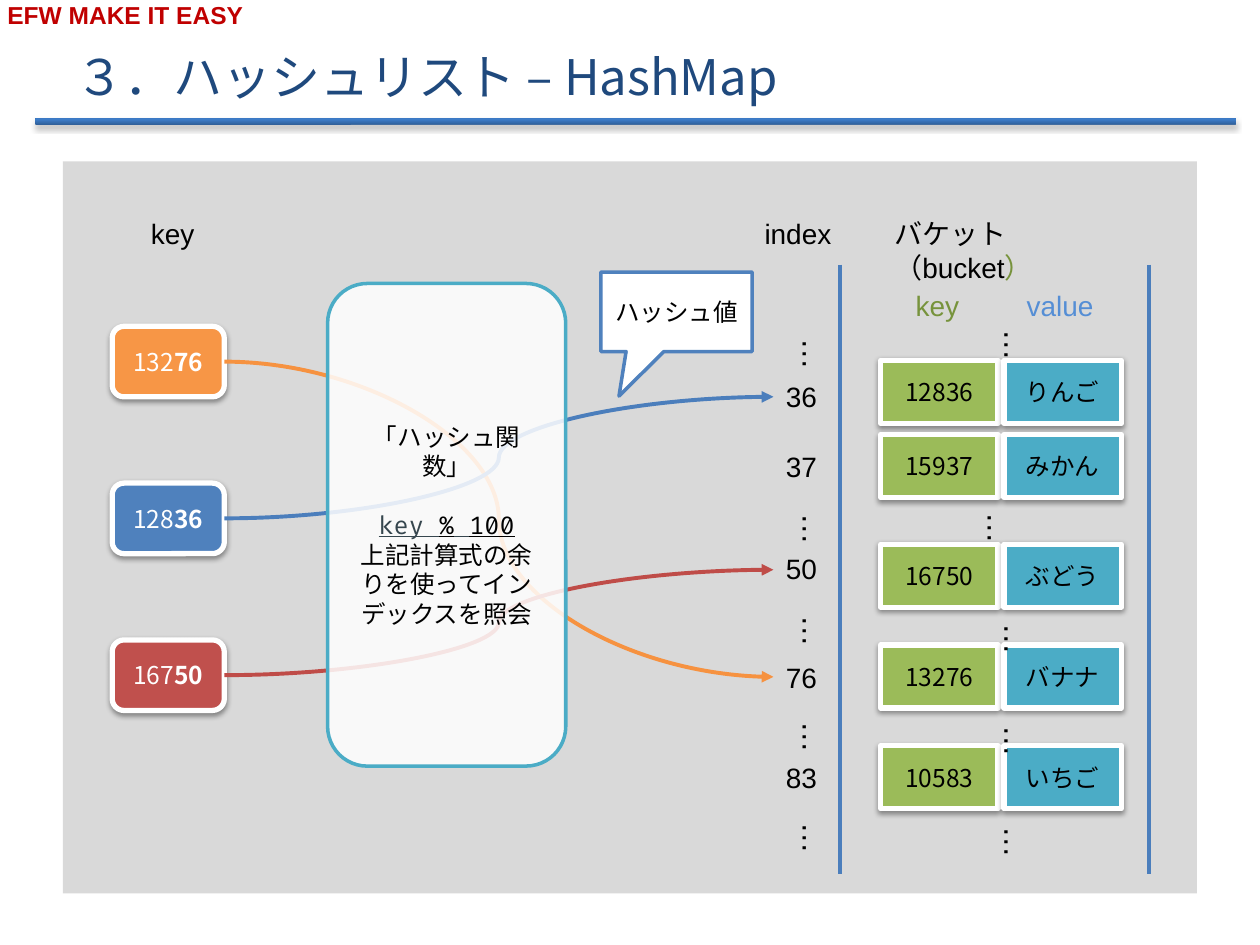
from dataclasses import dataclass

from lxml.etree import SubElement
from pptx import Presentation
from pptx.dml.color import RGBColor
from pptx.enum.shapes import MSO_CONNECTOR, MSO_SHAPE
from pptx.enum.text import MSO_ANCHOR, PP_ALIGN
from pptx.oxml.ns import qn
from pptx.util import Pt

SANS, CJK, MONO = "Arial", "Noto Sans CJK JP", "Fira Code"
BLACK, WHITE, GREEN, TEAL = "000000", "FFFFFF", "9BBB59", "4BACC6"
BLUE_LINE = "4B7EBC"
INDEX_X, BUCKET_X = 442, 557.3


@dataclass
class Box:
    x: float
    y: float
    w: float
    h: float

    def emu(self) -> list:
        return [Pt(v) for v in (self.x, self.y, self.w, self.h)]


@dataclass
class Entry:
    y: float
    key: str
    value: str
    index: str
    index_y: float


@dataclass
class Key:
    prefix: str
    suffix: str
    fill: str
    line: str
    target_y: float


ENTRIES = [
    Entry(205.9, "12836", "りんご", "36", 213.1),
    Entry(248.4, "15937", "みかん", "37", 253.4),
    Entry(311, "16750", "ぶどう", "50", 311.8),
    Entry(368.6, "13276", "バナナ", "76", 373.7),
    Entry(426.2, "10583", "いちご", "83", 431.3),
]
KEYS = [
    Key("132", "76", "F79646", "F69240", 386.8),
    Key("128", "36", "4F81BD", BLUE_LINE, 226.8),
    Key("167", "50", "C0504D", "BF4C48", 325.6),
]
INDEX_DOTS = [186.5, 286.6, 344.9, 405.4, 463]
BUCKET_DOTS = [181.4, 349.2, 407.5, 465.1]


def color(value: str) -> RGBColor:
    return RGBColor.from_string(value)


def style(r, size: float, font: str, c: str, bold=False, underline=False) -> None:
    f = r.font
    f.size, f.name, f.bold, f.underline = Pt(size), font, bold, underline
    f.color.rgb = color(c)
    latin = r._r.rPr.find(qn("a:latin"))
    ea = latin.makeelement(qn("a:ea"), {"typeface": CJK})
    latin.addnext(ea)


def add_run(p, text: str, *args, **kwargs) -> None:
    r = p.add_run()
    r.text = text
    style(r, *args, **kwargs)


def add_shadow(s, alpha: int, blur: float, dist: float) -> None:
    effects = s._element.spPr.find(qn("a:effectLst"))
    shadow = SubElement(effects, qn("a:outerShdw"), blurRad=str(Pt(blur)),
                        dist=str(Pt(dist)), dir="5400000", rotWithShape="0")
    clr = SubElement(shadow, qn("a:srgbClr"), val=BLACK)
    SubElement(clr, qn("a:alpha"), val=str(alpha * 1000))


def add_shape(slide, kind, box: Box, fill: str, line="", width=2.0, shadow=False):
    s = slide.shapes.add_shape(kind, *box.emu())
    s.shadow.inherit = False
    s.fill.solid()
    s.fill.fore_color.rgb = color(fill)
    if line:
        s.line.color.rgb = color(line)
        s.line.width = Pt(width)
    else:
        s.line.fill.background()
    if shadow:
        add_shadow(s, 38, 3.1, 1.6)
    tf = s.text_frame
    tf.word_wrap = True
    tf.vertical_anchor = MSO_ANCHOR.MIDDLE
    tf.paragraphs[0].alignment = PP_ALIGN.CENTER
    return s


def add_label(slide, box: Box, text: str, size=16.0, c=BLACK, bold=False):
    tb = slide.shapes.add_textbox(*box.emu())
    tf = tb.text_frame
    tf.word_wrap = True
    add_run(tf.paragraphs[0], text, size, SANS, c, bold=bold)
    return tb


def add_dots(slide, x: float, y: float, h=20.2):
    tb = add_label(slide, Box(x, y, 38.2, h), "…", 18)
    tf = tb.text_frame
    tf.paragraphs[0].alignment = PP_ALIGN.CENTER
    tf._txBody.bodyPr.set("vert", "eaVert")
    return tb


def add_line(slide, kind, x1, y1, x2, y2, c: str, arrow=False) -> None:
    cn = slide.shapes.add_connector(kind, Pt(x1), Pt(y1), Pt(x2), Pt(y2))
    cn.line.color.rgb = color(c)
    cn.line.width = Pt(2.25)
    if arrow:
        SubElement(cn.line._get_or_add_ln(), qn("a:tailEnd"), type="triangle")
    SubElement(cn._element.spPr, qn("a:effectLst"))


def add_header(slide) -> None:
    bar = add_shape(slide, MSO_SHAPE.ROUNDED_RECTANGLE,
                    Box(20.2, 67.7, 686.2, 3.6), "3D7CC7")
    bar.fill.gradient()
    bar.fill.gradient_angle = 90
    stops = bar.fill.gradient_stops
    for stop, (pos, c) in zip(stops, [(0, "2F5F99"), (0.8, "3D7CC7")]):
        stop.position = pos
        stop.color.rgb = color(c)
    add_shadow(bar, 35, 3.1, 1.8)
    add_label(slide, Box(-2.9, -3.6, 254.9, 24.5), "EFW MAKE IT EASY", 14, "C00000", True)

    title = slide.shapes.title
    title.left, title.top, title.width, title.height = Box(36, 21.6, 648, 43.9).emu()
    tf = title.text_frame
    tf.text = "３．ハッシュリスト – HashMap"
    tf.vertical_anchor = MSO_ANCHOR.MIDDLE
    p = tf.paragraphs[0]
    p.alignment = PP_ALIGN.LEFT
    style(p.runs[0], 28, CJK, "1F497D")


def add_buckets(slide) -> None:
    for x, fill, field in ((503.3, GREEN, "key"), (573.8, TEAL, "value")):
        for entry in ENTRIES:
            s = add_shape(slide, MSO_SHAPE.RECTANGLE, Box(x, entry.y, 67, 36),
                          fill, WHITE, 3, True)
            add_run(s.text_frame.paragraphs[0], getattr(entry, field), 14, CJK, BLACK)
    add_label(slide, Box(579.6, 161.3, 56.2, 21.6), "value", c="558ED5")
    add_label(slide, Box(516.2, 161.3, 41.8, 21.6), "key", c="77933C")
    for y in BUCKET_DOTS:
        add_dots(slide, BUCKET_X, y)
    gap = add_dots(slide, BUCKET_X, 285.8, 28.1)
    gap.text_frame.vertical_anchor = MSO_ANCHOR.BOTTOM
    for x in (480.2, 656.6):
        add_line(slide, MSO_CONNECTOR.STRAIGHT, x, 151.2, x, 499.7, BLUE_LINE)
    tb = add_label(slide, Box(504, 120.2, 133.2, 26.6), "バケット（bucket")
    add_run(tb.text_frame.paragraphs[0], "）", 16, SANS, "77933C")


def add_index(slide) -> None:
    add_label(slide, Box(429.8, 120.2, 66.2, 26.6), "index")
    for entry in ENTRIES:
        add_label(slide, Box(INDEX_X, entry.index_y, 41.8, 26.6), entry.index)
    for y in INDEX_DOTS:
        add_dots(slide, INDEX_X, y)


def add_keys(slide) -> None:
    add_label(slide, Box(79.2, 120.2, 47.5, 26.6), "key")
    for i, key in enumerate(KEYS):
        box = Box(64.1, 186.5 + 89.6 * i, 64.1, 40.3)
        s = add_shape(slide, MSO_SHAPE.ROUNDED_RECTANGLE, box, key.fill, WHITE, 3, True)
        p = s.text_frame.paragraphs[0]
        add_run(p, key.prefix, 14, CJK, WHITE)
        add_run(p, key.suffix, 14, CJK, WHITE, bold=True)
        add_line(slide, MSO_CONNECTOR.CURVE, box.x + box.w, box.y + box.h / 2,
                 INDEX_X, key.target_y, key.line, True)


def add_hash_function(slide) -> None:
    s = add_shape(slide, MSO_SHAPE.ROUNDED_RECTANGLE, Box(187.2, 162, 136.1, 275.8), WHITE, TEAL)
    clr = s._element.spPr.find(qn("a:solidFill"))[0]
    SubElement(clr, qn("a:alpha"), val="85000")
    tf = s.text_frame
    add_run(tf.paragraphs[0], "「ハッシュ関数」", 14, CJK, BLACK)
    formula, note = tf.add_paragraph(), tf.add_paragraph()
    formula.alignment = note.alignment = PP_ALIGN.CENTER
    formula.space_before = Pt(17)
    for text, c in (("key ", "36464E"), ("%", BLACK), (" ", "36464E"), ("100", BLACK)):
        add_run(formula, text, 14, MONO, c, underline=True)
    add_run(note, "上記計算式の余りを使ってインデックスを照会", 14, MONO, BLACK)

    callout = add_shape(slide, MSO_SHAPE.RECTANGULAR_CALLOUT,
                        Box(343.4, 155.5, 86.4, 45.4), WHITE, "4F81BD")
    callout.adjustments[0], callout.adjustments[1] = -0.38, 1.06
    add_run(callout.text_frame.paragraphs[0], "ハッシュ値", 14, CJK, BLACK)


def main() -> None:
    prs = Presentation()
    prs.slide_width, prs.slide_height = Pt(720), Pt(540)
    slide = prs.slides.add_slide(prs.slide_layouts[5])
    add_header(slide)
    # Grey panel behind the diagram
    add_shape(slide, MSO_SHAPE.RECTANGLE, Box(36, 92.2, 648, 418.3), "D9D9D9")
    add_buckets(slide)
    add_index(slide)
    add_keys(slide)
    # Translucent box drawn over the curves
    add_hash_function(slide)
    prs.save("out.pptx")


if __name__ == "__main__":
    main()
